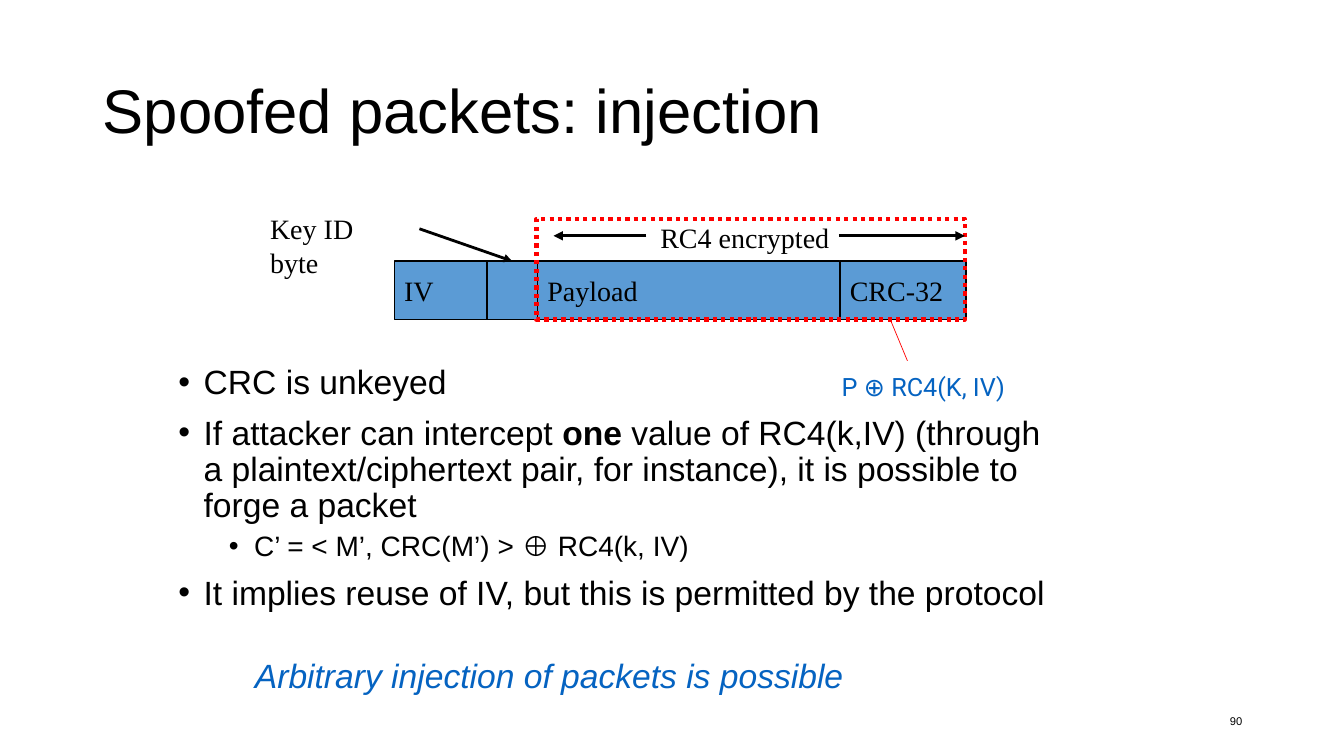
import pptx
import pptx.util
import pptx.dml.color
import pptx.enum.dml
import pptx.enum.shapes
import pptx.enum.text
import pptx.oxml.ns
import lxml.etree

Inches, Pt = pptx.util.Inches, pptx.util.Pt
RGB = pptx.dml.color.RGBColor.from_string
ANCHOR = pptx.enum.text.MSO_ANCHOR
ALIGN = pptx.enum.text.PP_ALIGN
AUTO = pptx.enum.text.MSO_AUTO_SIZE
RECT = pptx.enum.shapes.MSO_SHAPE.RECTANGLE
qn = pptx.oxml.ns.qn

THEME = {
    "black": "000000", "field": "5B9BD5", "red": "FF0000", "blue": "0563C1",
    "sans": "Arial", "serif": "Times New Roman", "formula": "Roboto",
    "title": 44, "body": 24, "sub": 20, "label": 20, "note": 18, "number": 8,
}


def add_run(p, text, size, font="sans", color="black", bold=False, italic=False):
    r = p.add_run()
    r.text = text
    r.font.name = THEME[font]
    r.font.size = Pt(THEME[size])
    r.font.color.rgb = RGB(THEME[color])
    r.font.bold, r.font.italic = bold, italic


def place(sp, left, top, width, height):
    sp.left, sp.top = Inches(left), Inches(top)
    sp.width, sp.height = Inches(width), Inches(height)


prs = pptx.Presentation()
prs.slide_width, prs.slide_height = Inches(13.33), Inches(7.5)
s = prs.slides.add_slide(prs.slide_layouts[1])

# Title
sp = s.shapes.title
place(sp, 0.92, 0.4, 11.5, 1.45)
tf = sp.text_frame
tf.auto_size = AUTO.NONE
tf.vertical_anchor = ANCHOR.MIDDLE
p = tf.paragraphs[0]
p.alignment, p.line_spacing = ALIGN.LEFT, 0.9
add_run(p, "Spoofed packets: injection", "title")

# Bullet list: level, then runs as (text, bold)
bullets = [
    (0, [("CRC is unkeyed", False)]),
    (0, [("If attacker can intercept ", False), ("one", True),
         (" value of RC4(k,IV) (through a plaintext/ciphertext pair, "
          "for instance), it is possible to forge a packet", False)]),
    (1, [("C’ = < M’, CRC(M’) > ", False), ("⊕", True), (" RC4(k, IV)", False)]),
    (0, [("It implies reuse of IV, but this is permitted by the protocol", False)]),
]
sp = s.placeholders[1]
place(sp, 1.67, 3.58, 9, 3.42)
tf = sp.text_frame
tf.auto_size = AUTO.NONE
for i, (level, runs) in enumerate(bullets):
    p = tf.add_paragraph() if i else tf.paragraphs[0]
    p.level, p.line_spacing = level, 0.9
    p.space_before = Pt((10, 5)[level] if i else 0)
    pPr = p._p.get_or_add_pPr()
    pPr.set("marL", str(Inches((0.25, 0.75)[level])))
    pPr.set("indent", str(Inches(-0.25)))
    lxml.etree.SubElement(pPr, qn("a:buFont"), typeface=THEME["sans"])
    lxml.etree.SubElement(pPr, qn("a:buChar"), char="•")
    for text, bold in runs:
        add_run(p, text, ("body", "sub")[level], bold=bold)

# Packet fields, side by side
fields = {}
left = 3.91
for name, text, width in [("iv", "IV", 0.92), ("key", "", 0.5),
                          ("payload", "Payload", 3), ("crc", "CRC-32", 1.25)]:
    sp = s.shapes.add_shape(RECT, Inches(left), Inches(2.59), Inches(width), Inches(0.58))
    sp.shadow.inherit = False
    sp.fill.solid()
    sp.fill.fore_color.rgb = RGB(THEME["field"])
    sp.line.color.rgb = RGB(THEME["black"])
    sp.line.width = Pt(1)
    if text:
        tf = sp.text_frame
        tf.vertical_anchor = ANCHOR.MIDDLE
        p = tf.paragraphs[0]
        p.alignment = ALIGN.LEFT
        add_run(p, text, "label", "serif")
    fields[name] = sp
    left += width

# Dotted frame around the encrypted part
sp = s.shapes.add_shape(RECT, Inches(5.32), Inches(2.17), Inches(4.25), Inches(1))
sp.shadow.inherit = False
sp.fill.background()
sp.line.color.rgb = RGB(THEME["red"])
sp.line.width = Pt(3)
sp.line.dash_style = pptx.enum.dml.MSO_LINE.ROUND_DOT

# Arrows and the pointer to the formula
for x1, y1, x2, y2, color, width, arrow, target in [
    (4.16, 2.27, 5.07, 2.59, "black", 2, True, fields["key"]),
    (6.41, 2.34, 5.49, 2.34, "black", 2.25, True, None),
    (8.32, 2.34, 9.57, 2.34, "black", 2.25, True, None),
    (9, 3.58, 8.83, 3.17, "red", 0.5, False, None),
]:
    c = s.shapes.add_connector(pptx.enum.shapes.MSO_CONNECTOR.STRAIGHT,
                               Inches(x1), Inches(y1), Inches(x2), Inches(y2))
    c.line.color.rgb = RGB(THEME[color])
    c.line.width = Pt(width)
    if arrow:
        lxml.etree.SubElement(c.line._get_or_add_ln(), qn("a:tailEnd"), type="triangle")
    lxml.etree.SubElement(c._element.spPr, qn("a:effectLst"))
    if target is not None:
        c.end_connect(target, 0)

# Labels, conclusion and slide number
for text, box, size, font, color, italic, wrap, anchor, align in [
    ("Key ID byte", (2.58, 2.05, 1.57, 0.43), "label", "serif", "black",
     False, False, ANCHOR.TOP, ALIGN.LEFT),
    ("RC4 encrypted", (6.45, 2.14, 1.88, 0.43), "label", "serif", "black",
     False, False, ANCHOR.TOP, ALIGN.LEFT),
    ("P ⊕ RC4(K, IV)", (8.25, 3.63, 1.88, 0.4), "note", "formula", "blue",
     False, False, ANCHOR.MIDDLE, ALIGN.LEFT),
    ("Arbitrary injection of packets is possible", (2.43, 6.45, 8.49, 0.5),
     "body", "sans", "blue", True, True, ANCHOR.MIDDLE, ALIGN.LEFT),
    ("90", (9.42, 6.95, 3, 0.4), "number", "sans", "black",
     False, True, ANCHOR.MIDDLE, ALIGN.RIGHT),
]:
    sp = s.shapes.add_textbox(*map(Inches, box))
    tf = sp.text_frame
    tf.word_wrap = wrap
    tf.vertical_anchor = anchor
    p = tf.paragraphs[0]
    p.alignment = align
    add_run(p, text, size, font, color, italic=italic)

prs.save("out.pptx")
